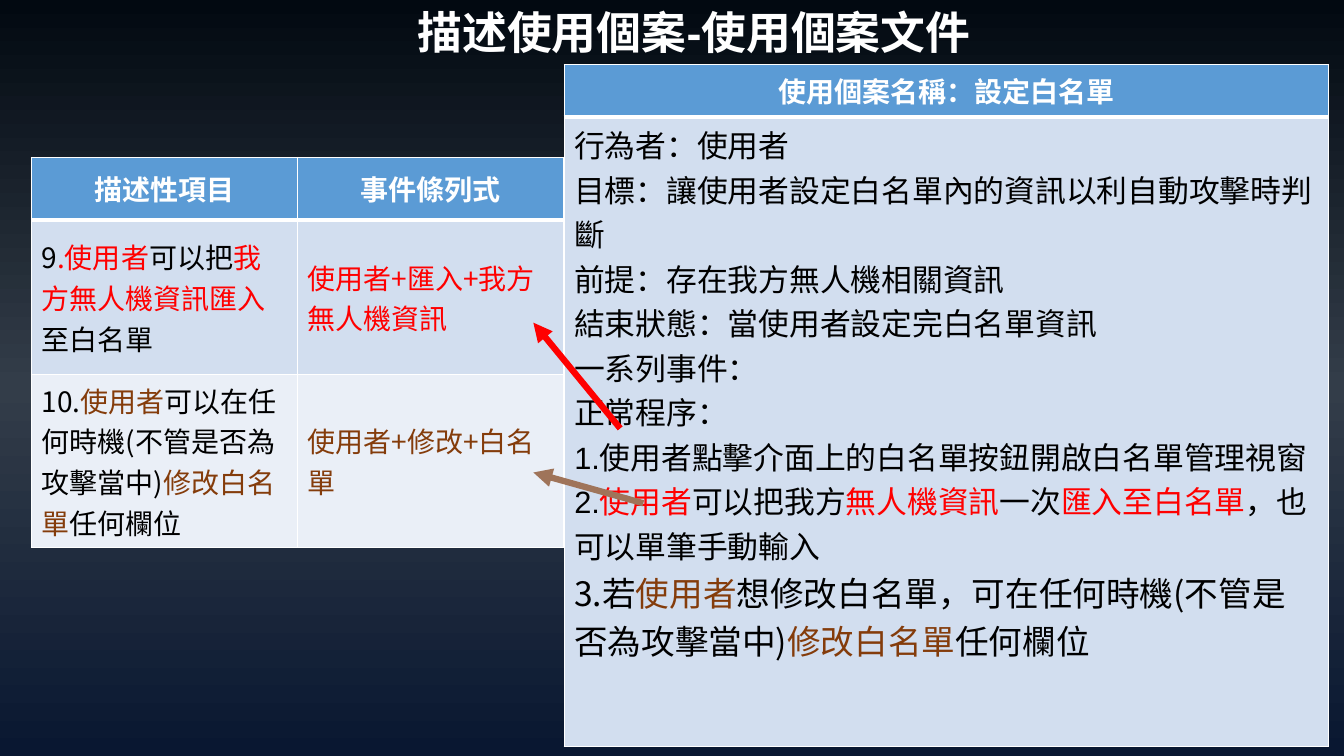
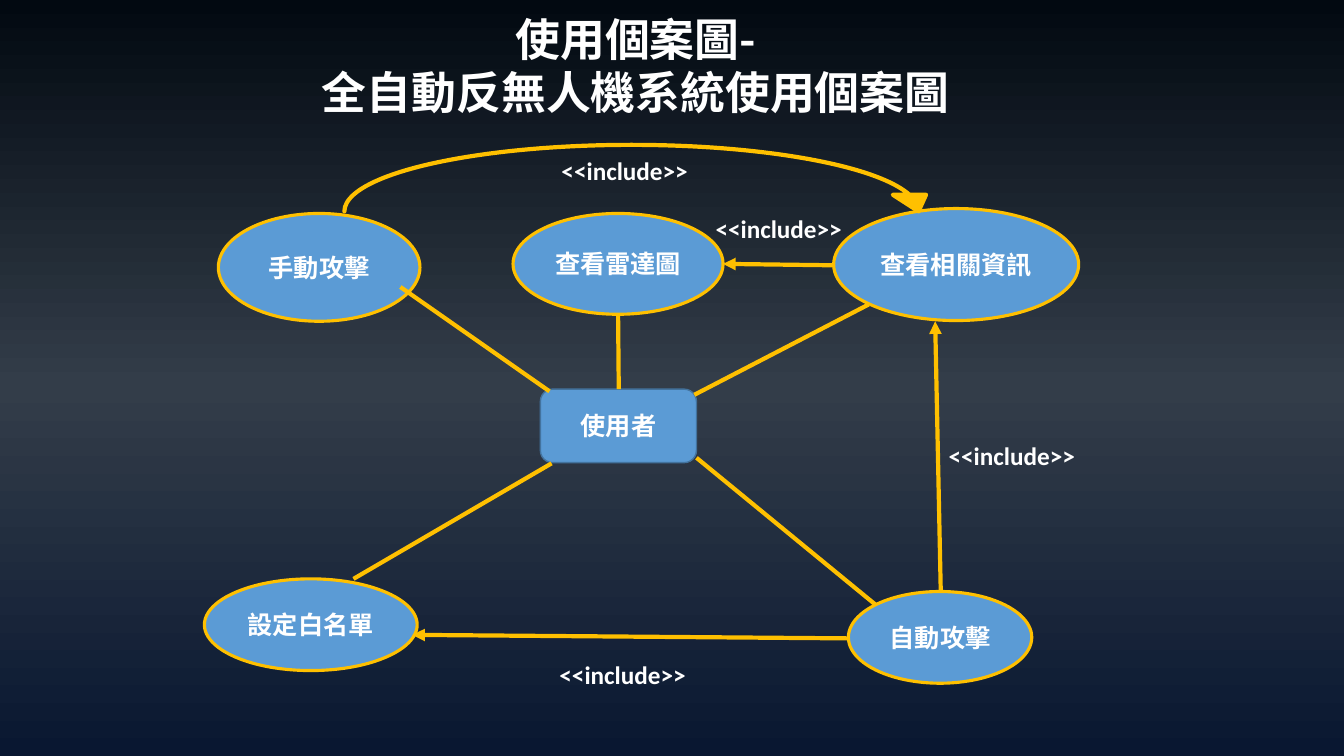
from copy import deepcopy

from lxml import etree
from pptx import Presentation
from pptx.dml.color import RGBColor
from pptx.enum import shapes, text
from pptx.oxml import ns
from pptx.util import Pt

COLORS = {
    "top": "020911", "middle": "333D49", "bottom": "091731",
    "white": "FFFFFF", "black": "000000", "red": "FF0000", "brown": "843C0B",
    "tan": "9F745A", "gold": "FFC000", "blue": "5B9BD5", "navy": "43739E",
    "band": "D2DEEF", "pale": "EAEFF7",
}
SC, TC = "Noto Sans CJK SC", "Noto Sans CJK TC"
SHAPE = shapes.MSO_SHAPE
CENTER, LEFT = text.PP_ALIGN.CENTER, text.PP_ALIGN.LEFT

EVENTS_HEADER = ["描述性項目", "事件條列式"]
EVENTS = [
    [[("9", "black"), (".使用者", "red"), ("可以把", "black"),
      ("我方無人機資訊匯入", "red"), ("至白名單", "black")],
     [("使用者+匯入+我方無人機資訊", "red")]],
    [[("10.", "black"), ("使用者", "brown"),
      ("可以在任何時機(不管是否為攻擊當中)", "black"),
      ("修改白名單", "brown"), ("任何欄位", "black")],
     [("使用者+修改+白名單", "brown")]],
]
CASE_NAME = "使用個案名稱：設定白名單"
CASE_LINES = [
    "行為者：使用者",
    "目標：讓使用者設定白名單內的資訊以利自動攻擊時判斷",
    "前提：存在我方無人機相關資訊",
    "結束狀態：當使用者設定完白名單資訊",
    "一系列事件：",
    "正常程序：",
    "1.使用者點擊介面上的白名單按鈕開啟白名單管理視窗",
    [("2.", "black"), ("使用者", "red"), ("可以把我方", "black"),
     ("無人機資訊", "red"), ("一次", "black"), ("匯入至白名單", "red"),
     ("，也可以單筆手動輸入", "black")],
]
CASE_LAST = [
    ("3.若", "black"), ("使用者", "brown"),
    ("想修改白名單，可在任何時機(不管是否為攻擊當中)", "black"),
    ("修改白名單", "brown"), ("任何欄位", "black"),
]
TRACES = [((443, 306), (381, 230.5), "red"), ((459.5, 359.5), (381, 337.5), "tan")]

ACTOR = ("使用者", (386, 278, 111.5, 52.5))
USE_CASES = [
    ("自動攻擊", (606, 422.5, 131, 65.5)),
    ("設定白名單", (146, 413.5, 152, 65.5)),
    ("手動攻擊", (156, 152.5, 144, 77)),
    ("查看相關資訊", (595.5, 149, 175, 80)),
    ("查看雷達圖", (366.5, 152.5, 150, 72)),
]
ASSOCIATIONS = [
    ((620.5, 217.5), (496, 282)),
    ((394, 331), (252.5, 413.5)),
    ((497.5, 327), (625.5, 432)),
    ((286, 205), (392.5, 279.5)),
    ((441.5, 224.5), (442, 278)),
]
INCLUDES = [
    ((606, 456), (294.5, 453.5)),
    ((672, 422.5), (668, 229.5)),
    ((595.5, 189.5), (516.5, 188.5)),
]
INCLUDE_ARC = (246, 103.5, 422, 47.5)
INCLUDE_LABELS = [(392.5, 467.5), (394, 107.5), (670.5, 311), (504, 149)]


def rgb(name):
    return RGBColor.from_string(COLORS[name])


def points(values):
    return [Pt(value) for value in values]


def write(frame, lines, size, font, color="white", bold=False, align=LEFT, start=0):
    for index, line in enumerate(lines, start):
        paragraph = frame.add_paragraph() if index else frame.paragraphs[0]
        paragraph.alignment = align
        paragraph.font.size = Pt(size)
        paragraph.font.bold = bold
        paragraph.font.name = font
        paragraph.font.color.rgb = rgb(color)
        for words, run_color in [(line, color)] if isinstance(line, str) else line:
            run = paragraph.add_run()
            run.text = words
            if run_color != color:
                run.font.color.rgb = rgb(run_color)


def add_text(slide, box, lines, size, font, wrap=True, align=LEFT):
    frame = slide.shapes.add_textbox(*points(box)).text_frame
    frame.word_wrap = wrap
    write(frame, lines, size, font, bold=True, align=align)


def add_title(slide, box, lines, font, wrap=True):
    add_text(slide, box, lines, 32, font, wrap, CENTER)


def add_figure(slide, kind, box, fill, outline, width, label=None):
    figure = slide.shapes.add_shape(kind, *points(box))
    figure.shadow.inherit = False
    figure.fill.solid()
    figure.fill.fore_color.rgb = rgb(fill)
    figure.line.color.rgb = rgb(outline)
    figure.line.width = Pt(width)
    if label:
        figure.text_frame.word_wrap = False
        write(figure.text_frame, [label], 18, SC, bold=True, align=CENTER)
    return figure


def add_line(slide, start, end, color, width, arrow=False):
    line = slide.shapes.add_connector(shapes.MSO_CONNECTOR.STRAIGHT, *points(start + end))
    line.line.color.rgb = rgb(color)
    line.line.width = Pt(width)
    if arrow:
        etree.SubElement(line.line._get_or_add_ln(), ns.qn("a:tailEnd"), type="triangle")
    etree.SubElement(line._element.spPr, ns.qn("a:effectLst"))


def add_grid(slide, left, top, widths, heights):
    grid = slide.shapes.add_table(
        len(heights), len(widths), *points((left, top, sum(widths), sum(heights)))).table
    for column, width in zip(grid.columns, widths):
        column.width = Pt(width)
    for row, height in zip(grid.rows, heights):
        row.height = Pt(height)
    return grid


def style_cell(cell, fill, top=1, bottom=1):
    cell.fill.solid()
    cell.fill.fore_color.rgb = rgb(fill)
    properties = cell._tc.get_or_add_tcPr()
    edges = {"lnL": 1, "lnR": 1, "lnT": top, "lnB": bottom}
    for position, (edge, width) in enumerate(edges.items()):
        border = etree.Element(ns.qn("a:" + edge), w=str(Pt(width)))
        paint = etree.SubElement(border, ns.qn("a:solidFill"))
        etree.SubElement(paint, ns.qn("a:srgbClr"), val=COLORS["white"])
        properties.insert(position, border)


def paint_background(master):
    fill = master.background.fill
    fill.gradient()
    fill.gradient_angle = 270
    first = fill.gradient_stops[0]._gs
    first.addnext(deepcopy(first))
    stops = zip(fill.gradient_stops, ("top", "middle", "bottom"), (0, 0.51, 1))
    for stop, color, position in stops:
        stop.color.rgb = rgb(color)
        stop.position = position


def build_description(slide):
    events = add_grid(slide, 22.5, 112.5, [190, 190], [44.5, 110.5, 110.5])
    for column, heading in enumerate(EVENTS_HEADER):
        cell = events.cell(0, column)
        style_cell(cell, "blue", bottom=3)
        cell.vertical_anchor = text.MSO_ANCHOR.MIDDLE
        write(cell.text_frame, [heading], 20, SC, bold=True, align=CENTER)
    for row, entries in enumerate(EVENTS, 1):
        for column, entry in enumerate(entries):
            cell = events.cell(row, column)
            style_cell(cell, "band" if row % 2 else "pale", top=3 if row == 1 else 1)
            cell.vertical_anchor = text.MSO_ANCHOR.MIDDLE
            write(cell.text_frame, [entry], 20, SC, "black")

    add_title(slide, (289.5, 0, 412.5, 46), ["描述使用個案-使用個案文件"], "Arial", wrap=False)

    case = add_grid(slide, 403, 46, [546], [37.5, 450])
    name, body = case.cell(0, 0), case.cell(1, 0)
    style_cell(name, "blue", bottom=3)
    write(name.text_frame, [CASE_NAME], 20, "Calibri", bold=True, align=CENTER)
    style_cell(body, "band", top=3)
    write(body.text_frame, CASE_LINES, 22, "Arial", "black")
    write(body.text_frame, [CASE_LAST], 24, TC, "black", start=len(CASE_LINES))

    for start, end, color in TRACES:
        add_line(slide, start, end, color, 4.5, arrow=True)


def build_diagram(slide):
    add_title(slide, (131, 4.5, 646.5, 85),
              ["使用個案圖-", "全自動反無人機系統使用個案圖"], SC)
    actor, actor_box = ACTOR
    add_figure(slide, SHAPE.ROUNDED_RECTANGLE, actor_box, "blue", "navy", 1, actor)
    for use_case, box in USE_CASES:
        add_figure(slide, SHAPE.OVAL, box, "blue", "gold", 2.25, use_case)
    for start, end in ASSOCIATIONS:
        add_line(slide, start, end, "gold", 3)
    for start, end in INCLUDES:
        add_line(slide, start, end, "gold", 3, arrow=True)
    arc = add_figure(slide, SHAPE.CURVED_DOWN_ARROW, INCLUDE_ARC, "gold", "gold", 3)
    for index, value in enumerate((0, 0.5, 0.25)):
        arc.adjustments[index] = value
    for corner in INCLUDE_LABELS:
        add_text(slide, corner + (137, 29), ["<<include>>"], 18, "Calibri")


def main():
    deck = Presentation()
    deck.slide_width, deck.slide_height = Pt(960), Pt(540)
    paint_background(deck.slide_master)
    for build in (build_description, build_diagram):
        build(deck.slides.add_slide(deck.slide_layouts[6]))
    deck.save("out.pptx")


if __name__ == "__main__":
    main()
